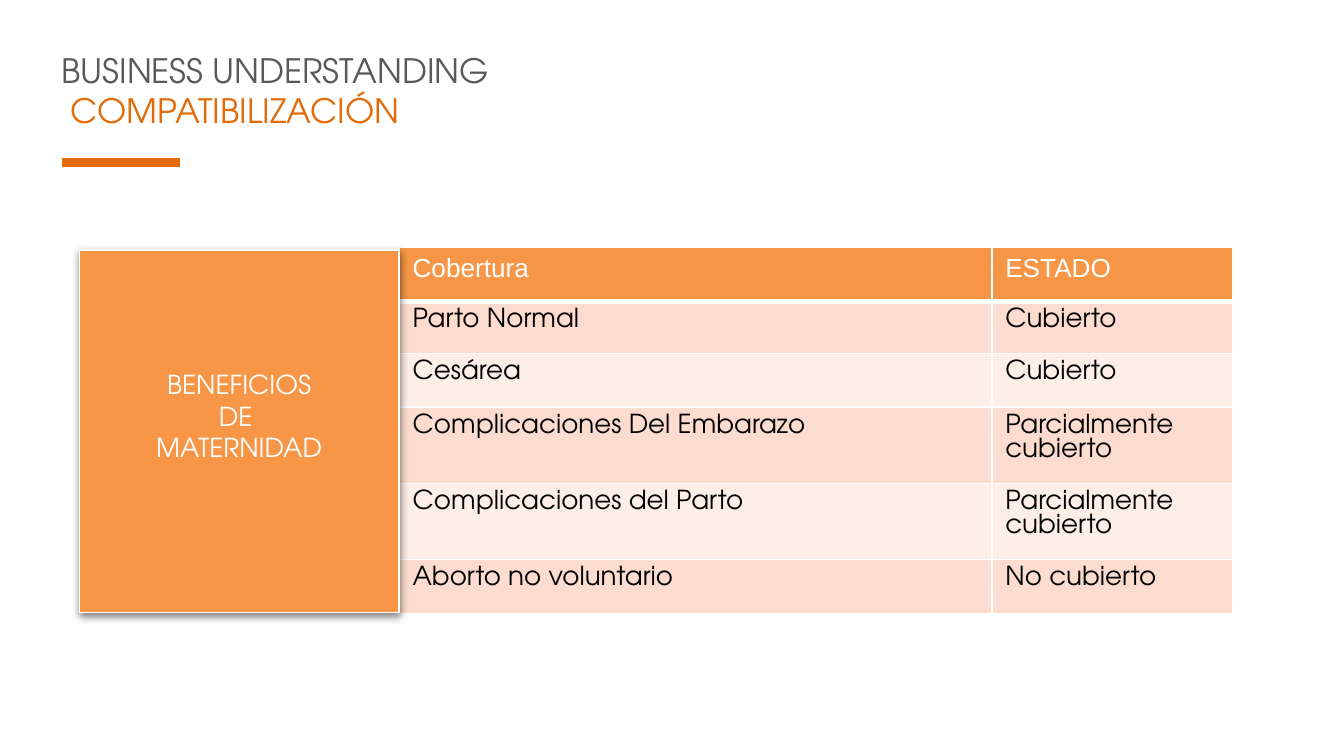
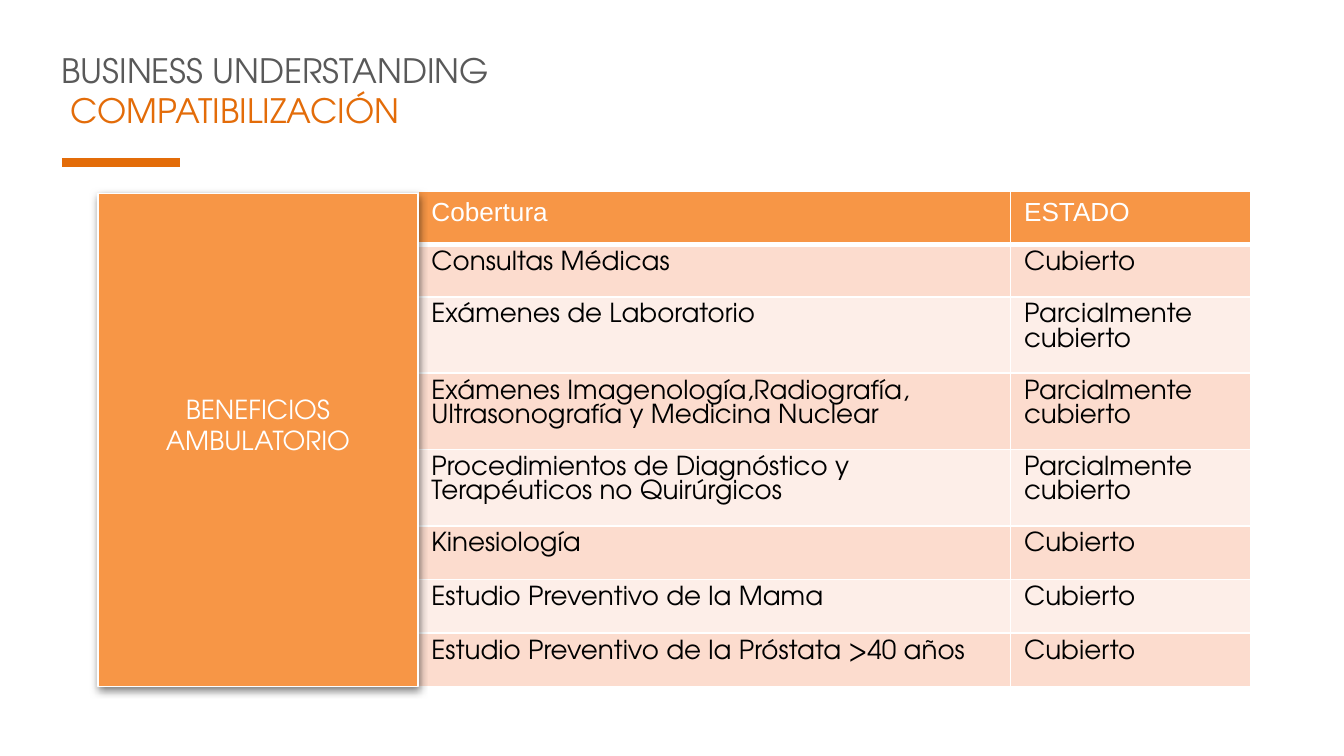
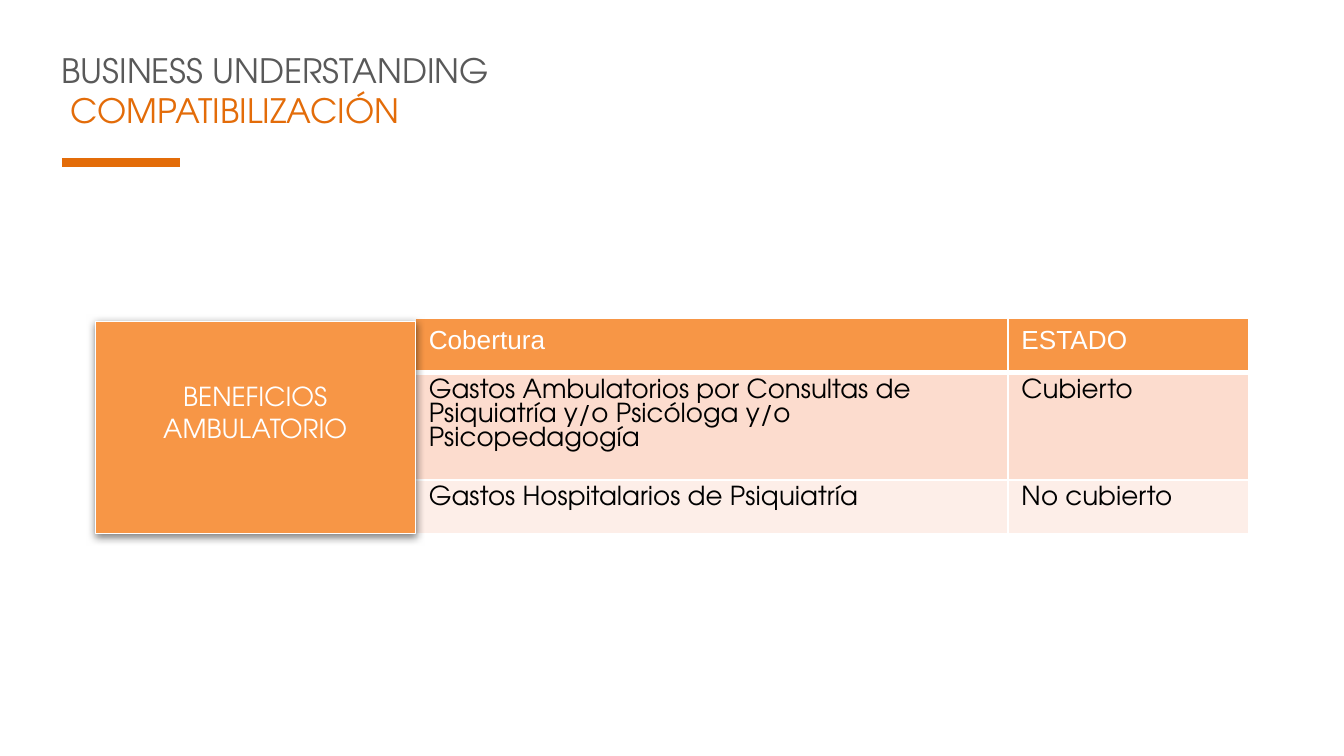
from lxml import etree
from pptx import Presentation
from pptx.dml.color import RGBColor
from pptx.enum.shapes import MSO_CONNECTOR, MSO_SHAPE
from pptx.enum.text import MSO_ANCHOR, MSO_AUTO_SIZE, PP_ALIGN
from pptx.oxml import parse_xml
from pptx.oxml.ns import nsdecls, qn
from pptx.util import Inches, Pt

STRAIGHT = MSO_CONNECTOR.STRAIGHT
RECTANGLE = MSO_SHAPE.RECTANGLE
MIDDLE = MSO_ANCHOR.MIDDLE
GROW = MSO_AUTO_SIZE.SHAPE_TO_FIT_TEXT
CENTER = PP_ALIGN.CENTER

GRAY = RGBColor(0x59, 0x59, 0x59)
DARK_ORANGE = RGBColor(0xE3, 0x6C, 0x09)
ORANGE = RGBColor(0xF7, 0x96, 0x46)
PEACH = RGBColor(0xFC, 0xDC, 0xCE)
PALE_PEACH = RGBColor(0xFD, 0xEE, 0xE8)
WHITE = RGBColor(0xFF, 0xFF, 0xFF)
BLACK = RGBColor(0x00, 0x00, 0x00)

TITLE_FONT = "TeX Gyre Adventor"
HEADER_FONT = "Arial"
COLUMNS = (4.41, 1.79)
BOX_WIDTH = 2.38
BOX_OFFSET = 0.02
ROW_HEIGHT = 0.4
FIRST_ROW_HEIGHT = 0.39
LINE_HEIGHT = 0.23

HEADER = ("Cobertura", "ESTADO")
SLIDES = [
    (2.97, 1.84, 2.7, "BENEFICIOS\nDE \nMATERNIDAD", [
        ("Parto Normal", "Cubierto"),
        ("Cesárea", "Cubierto"),
        ("Complicaciones Del Embarazo", "Parcialmente cubierto"),
        ("Complicaciones del Parto", "Parcialmente cubierto"),
        ("Aborto no voluntario", "No cubierto"),
    ]),
    (3.11, 1.42, 3.67, "BENEFICIOS\nAMBULATORIO", [
        ("Consultas Médicas", "Cubierto"),
        ("Exámenes de Laboratorio", "Parcialmente cubierto"),
        ("Exámenes Imagenología,Radiografía,\nUltrasonografía y Medicina Nuclear",
         "Parcialmente cubierto"),
        ("Procedimientos de Diagnóstico y Terapéuticos no Quirúrgicos",
         "Parcialmente cubierto"),
        ("Kinesiología", "Cubierto"),
        ("Estudio Preventivo de la Mama", "Cubierto"),
        ("Estudio Preventivo de la Próstata >40 años", "Cubierto"),
    ]),
    (3.09, 2.37, 1.58, "BENEFICIOS\nAMBULATORIO", [
        ("Gastos Ambulatorios por Consultas de Psiquiatría y/o Psicóloga y/o Psicopedagogía",
         "Cubierto"),
        ("Gastos Hospitalarios de Psiquiatría", "No cubierto"),
    ]),
]


def style(p, size, font, color):
    for r in p.runs:
        r.font.size = Pt(size)
        r.font.name = font
        r.font.color.rgb = color


def set_borders(cell, bottom):
    tcPr = cell._tc.get_or_add_tcPr()
    for i, (side, width) in enumerate((("lnL", 1), ("lnR", 1), ("lnT", 1), ("lnB", bottom))):
        tcPr.insert(i, parse_xml(
            f'<a:{side} {nsdecls("a")} w="{Pt(width)}"><a:solidFill>'
            f'<a:srgbClr val="{WHITE}"/></a:solidFill></a:{side}>'))


prs = Presentation()
prs.slide_width = Inches(10)
prs.slide_height = Inches(10) * 9 // 16

for left, top, box_height, benefit, coverage in SLIDES:
    s = prs.slides.add_slide(prs.slide_layouts[6])

    rule = s.shapes.add_connector(STRAIGHT, Inches(0.46), Inches(1.21), Inches(1.34), Inches(1.21))
    rule.line.color.rgb = DARK_ORANGE
    rule.line.width = Pt(4.5)
    etree.SubElement(rule._element.spPr, qn("a:effectLst"))

    title = s.shapes.add_textbox(Inches(0.36), Inches(0.32), Inches(3.43), Inches(0.71))
    tf = title.text_frame
    tf.word_wrap = True
    tf.auto_size = GROW
    tf.text = "BUSINESS UNDERSTANDING\n COMPATIBILIZACIÓN"
    for p, color in zip(tf.paragraphs, (GRAY, DARK_ORANGE)):
        style(p, 18, TITLE_FONT, color)

    rows = [HEADER] + coverage
    table = s.shapes.add_table(len(rows), len(COLUMNS), Inches(left), Inches(top),
                               Inches(sum(COLUMNS)), Inches(ROW_HEIGHT * len(rows))).table
    for column, width in zip(table.columns, COLUMNS):
        column.width = Inches(width)
    for i, row in enumerate(rows):
        table.rows[i].height = Inches(FIRST_ROW_HEIGHT if i == 1 else ROW_HEIGHT)
        for j, text in enumerate(row):
            cell = table.cell(i, j)
            cell.text = text
            cell.fill.solid()
            cell.fill.fore_color.rgb = ORANGE if i == 0 else PEACH if i % 2 else PALE_PEACH
            set_borders(cell, 3 if i == 0 else 1)
            for p in cell.text_frame.paragraphs:
                if i == 0:
                    style(p, 14, HEADER_FONT, WHITE)
                else:
                    style(p, 14, TITLE_FONT, BLACK)

    box = s.shapes.add_shape(RECTANGLE, Inches(left - BOX_WIDTH), Inches(top + BOX_OFFSET),
                             Inches(BOX_WIDTH), Inches(box_height))
    box.fill.solid()
    box.fill.fore_color.rgb = ORANGE
    box.line.color.rgb = WHITE
    box.line.width = Pt(0.75)
    box.shadow.inherit = False
    box._element.spPr.find(qn("a:effectLst")).append(parse_xml(
        f'<a:outerShdw {nsdecls("a")} blurRad="{Pt(4.5)}" dist="{Pt(1.5)}" dir="5400000" '
        f'rotWithShape="0"><a:srgbClr val="{BLACK}"><a:alpha val="50000"/></a:srgbClr></a:outerShdw>'))
    tf = box.text_frame
    tf.word_wrap = True
    tf.vertical_anchor = MIDDLE
    tf.margin_left = tf.margin_right = tf.margin_top = Inches(0.1)
    tf.margin_bottom = Inches(0.1 + LINE_HEIGHT)
    tf.text = benefit
    for p in tf.paragraphs:
        p.alignment = CENTER
        style(p, 14, TITLE_FONT, WHITE)

prs.save("out.pptx")
